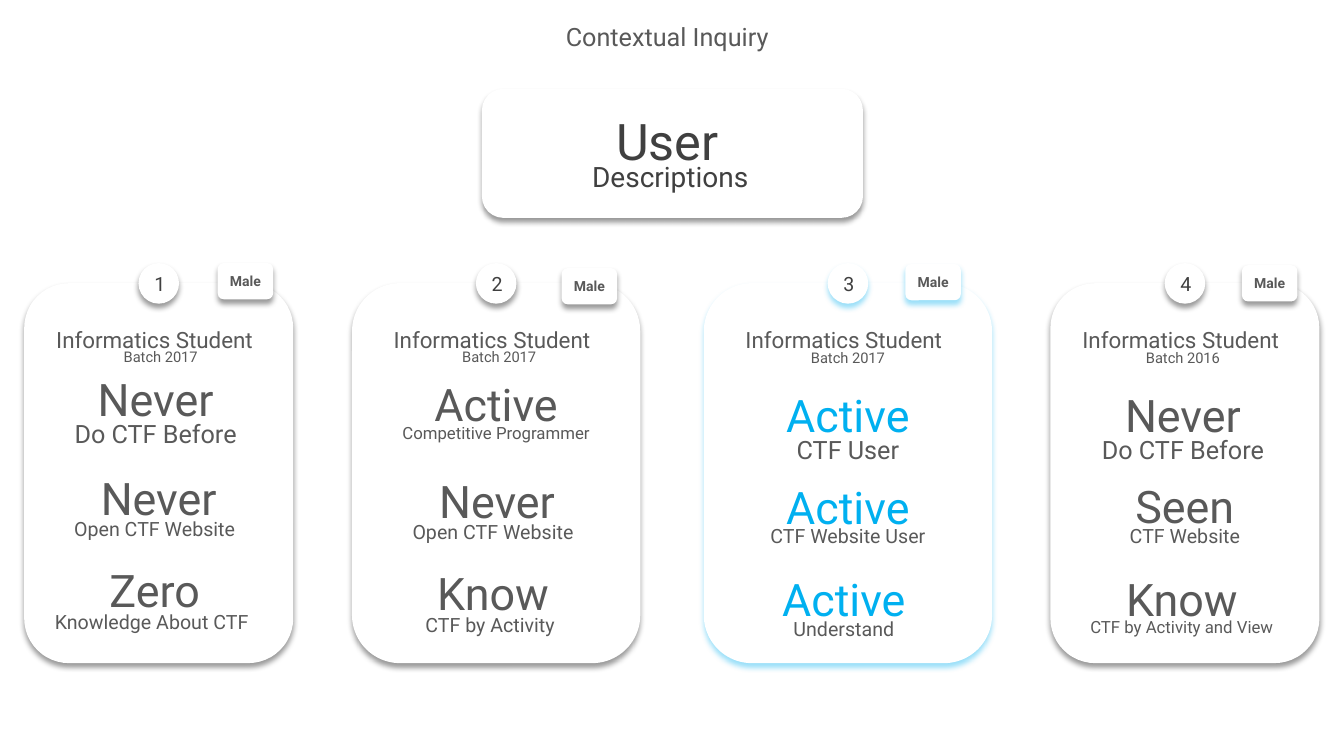
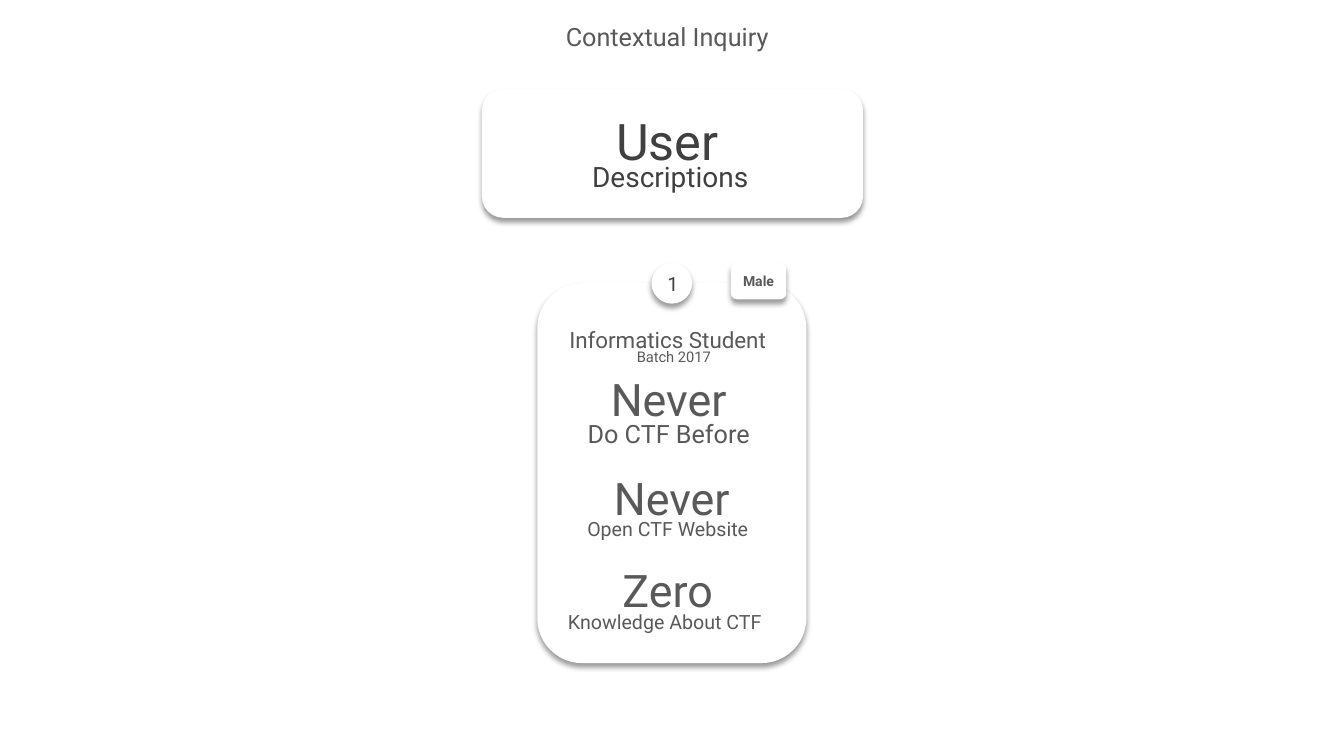
"""Build two contextual inquiry slides with user description cards."""
from lxml import etree
from pptx import Presentation
from pptx.dml.color import RGBColor
from pptx.enum import shapes, text
from pptx.oxml import ns
from pptx.util import Pt

FONT = "Roboto"
WHITE = RGBColor(0xFF, 0xFF, 0xFF)
BLACK = RGBColor(0x00, 0x00, 0x00)
DARK = RGBColor(0x40, 0x40, 0x40)
GRAY = RGBColor(0x59, 0x59, 0x59)
BLUE = RGBColor(0x00, 0xB0, 0xF0)
ROUND = shapes.MSO_SHAPE.ROUNDED_RECTANGLE
OVAL = shapes.MSO_SHAPE.OVAL
CENTER, LEFT = text.PP_ALIGN.CENTER, text.PP_ALIGN.LEFT

CARD_TOP, CARD_HEIGHT = 202.3, 271.4
COLUMN_WIDTH = 160.6
NUMBER_TOP, NUMBER_SIZE = 187.9, 29
TAG_WIDTH, TAG_HEIGHT = 39.6, 25.9

HEADER = [
    (357.1, 11.5, 239, "Contextual Inquiry", 18, GRAY),
    (340.6, 74.9, 272.2, "User", 36, DARK),
    (342.7, 110.2, 272.2, "Descriptions", 20, DARK),
]

# Each line holds its shift from the card centre, top, wording and size.
USERS = [
    dict(number="1", center=113.4, width=192.2, tag=(42.1, 187.9), accent=None, lines=[
        (1.4, 244.8, "Batch 2017", 10.5),
        (-2.2, 262.1, "Never", 32), (-2.2, 295.2, "Do CTF Before", 18),
        (0, 332.6, "Never", 32), (-2.9, 365.8, "Open CTF Website", 14),
        (-2.9, 398.2, "Zero", 32), (-5, 432, "Knowledge About CTF", 14)]),
    dict(number="2", center=354.4, width=205.9, tag=(46.8, 191.5), accent=None, lines=[
        (2.2, 244.8, "Batch 2017", 10.5),
        (0, 265.7, "Active", 32), (0, 298.1, "Competitive Programmer", 12),
        (0.7, 334.8, "Never", 32), (-2.2, 367.9, "Open CTF Website", 14),
        (-2.2, 400.3, "Know", 32), (-4.3, 434.2, "CTF by Activity", 14)]),
    dict(number="3", center=605.7, width=205.9, tag=(41, 188.6), accent=BLUE, lines=[
        (0, 245.5, "Batch 2017", 10.5),
        (0, 273.6, "Active", 32), (0, 306.7, "CTF User", 18),
        (0, 339.1, "Active", 32), (0, 370.8, "CTF Website User", 14),
        (-2.9, 404.6, "Active", 32), (-2.9, 437, "Understand", 14)]),
    dict(number="4", center=846.4, width=192.2, tag=(40.7, 189.4), accent=None, lines=[
        (-1.4, 245.5, "Batch 2016", 10.5),
        (-1.4, 273.6, "Never", 32), (-1.4, 306.7, "Do CTF Before", 18),
        (0, 338.4, "Seen", 32), (0, 370.8, "CTF Website", 14),
        (-2.2, 404.6, "Know", 32), (-2.2, 437, "CTF by Activity and View", 12)]),
]


def add_panel(s, kind, left, top, width, height, shade=BLACK):
    sp = s.shapes.add_shape(kind, Pt(left), Pt(top), Pt(width), Pt(height))
    sp.fill.solid()
    sp.fill.fore_color.rgb = WHITE
    sp.line.fill.background()
    sp.shadow.inherit = False
    effects = sp._element.spPr.find(ns.qn("a:effectLst"))
    shadow = etree.SubElement(effects, ns.qn("a:outerShdw"), blurRad=str(Pt(4)),
                              dist=str(Pt(3)), dir="5400000", algn="t", rotWithShape="0")
    color = etree.SubElement(shadow, ns.qn("a:srgbClr"), val=str(shade))
    etree.SubElement(color, ns.qn("a:alpha"), val="40000")
    return sp


def add_text(s, left, top, width, wording, size, color, align=CENTER, sp=None, bold=False):
    if sp is None:
        sp = s.shapes.add_textbox(Pt(left), Pt(top), Pt(width), Pt(size * 1.2 + 7.2))
        sp.text_frame.auto_size = text.MSO_AUTO_SIZE.SHAPE_TO_FIT_TEXT
    tf = sp.text_frame
    tf.word_wrap = True
    p = tf.paragraphs[0]
    p.alignment = align
    r = p.add_run()
    r.text = wording
    for name, value in dict(name=FONT, size=Pt(size), bold=bold).items():
        setattr(r.font, name, value)
    r.font.color.rgb = color


prs = Presentation()
prs.slide_width, prs.slide_height = Pt(960), Pt(540)

for users in (USERS, [dict(USERS[0], center=479.9)]):
    s = prs.slides.add_slide(prs.slide_layouts[6])
    add_panel(s, ROUND, 344.2, 63.4, 272.2, 92.2)
    for line in HEADER:
        add_text(s, *line)

    for user in users:
        center, width = user["center"], user["width"]
        shade = user["accent"] or BLACK
        column = center - COLUMN_WIDTH / 2
        add_panel(s, ROUND, center - width / 2, CARD_TOP, width, CARD_HEIGHT, shade)

        number = (center - NUMBER_SIZE / 2, NUMBER_TOP, NUMBER_SIZE)
        sp = add_panel(s, OVAL, *number, NUMBER_SIZE, shade)
        add_text(s, *number, user["number"], 14, DARK, sp=sp)

        shift, top = user["tag"]
        tag = (center + shift, top, TAG_WIDTH)
        sp = add_panel(s, ROUND, *tag, TAG_HEIGHT, shade)
        add_text(s, *tag, "Male", 10, GRAY, sp=sp, bold=True)

        add_text(s, column, 229.7, COLUMN_WIDTH, "Informatics Student", 16, GRAY, LEFT)
        for shift, top, wording, size in user["lines"]:
            color = user["accent"] if user["accent"] and size == 32 else GRAY
            add_text(s, column + shift, top, COLUMN_WIDTH, wording, size, color)

prs.save("out.pptx")
